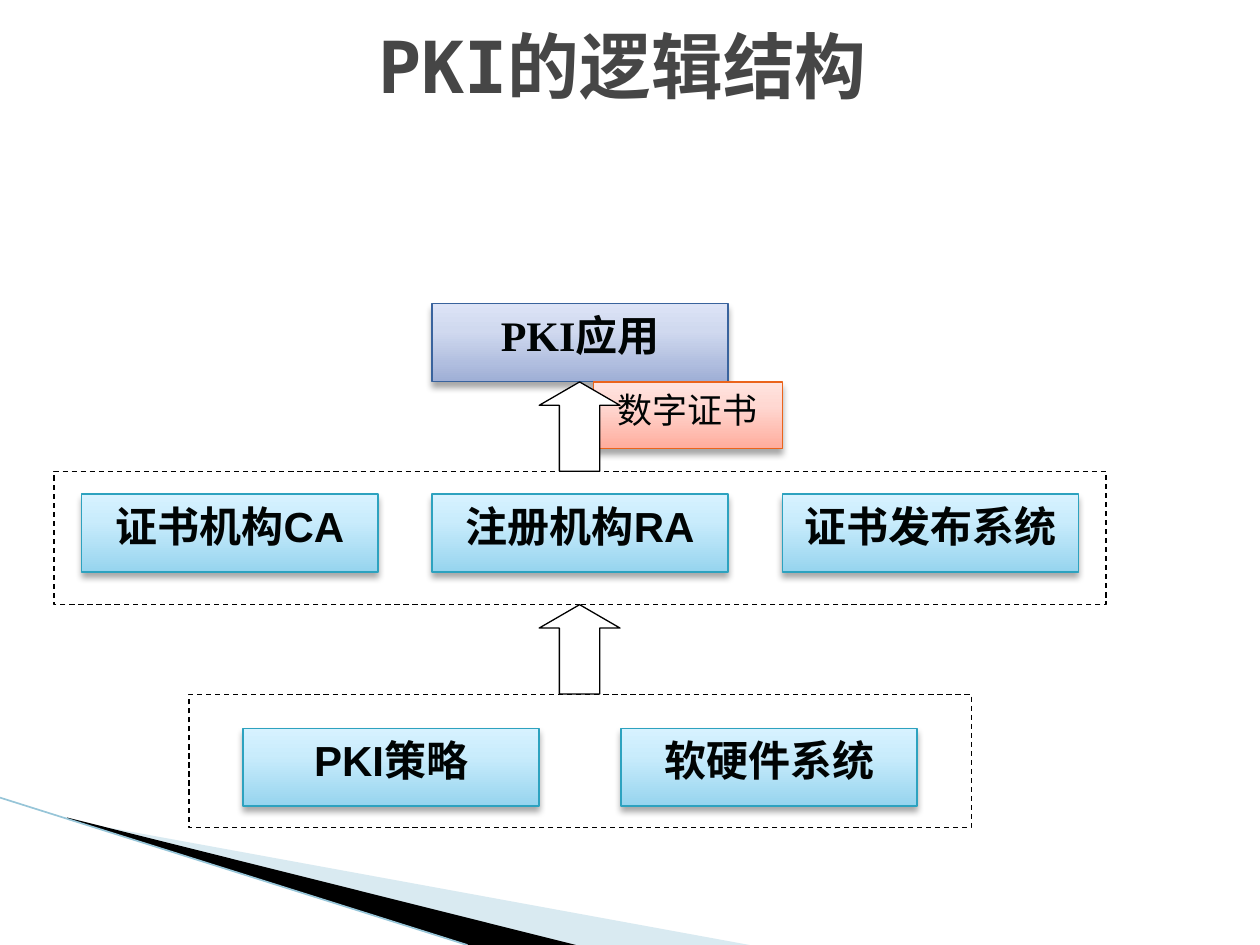
from lxml.etree import SubElement
from pptx import Presentation
from pptx.dml.color import RGBColor
from pptx.enum.dml import MSO_LINE
from pptx.enum.shapes import MSO_CONNECTOR, MSO_SHAPE
from pptx.enum.text import MSO_ANCHOR, PP_ALIGN
from pptx.oxml.ns import qn
from pptx.util import Cm, Pt

BLUE = ("9FAFD6", "D0D9EF", "DCE3F6")
CYAN = ("96D4EE", "C9ECFC", "D7F2FF")
CORAL = ("FFAC9C", "FFD8D2", "FFE4DF")
UNIT_WIDTH, UNIT_HEIGHT = 5.97, 1.57


def color(hex_code):
    return RGBColor.from_string(hex_code)


def color_xml(parent, hex_code, alpha=None):
    node = SubElement(parent, qn("a:srgbClr"), val=hex_code)
    if alpha is not None:
        SubElement(node, qn("a:alpha"), val=str(alpha * 1000))


class Diagram:
    ink = "000404"
    border = "000000"
    paper = "FFFFFF"
    line_width = Pt(0.75)

    def __init__(self, slide):
        self.slide = slide

    def label(self, frame, text, size, font, hex_code, bold):
        paragraph = frame.paragraphs[0]
        paragraph.alignment = PP_ALIGN.CENTER
        run = paragraph.add_run()
        run.text = text
        run.font.size = Pt(size)
        run.font.name = font
        run.font.bold = bold
        run.font.color.rgb = color(hex_code)

    def title(self, text, left, top, width, height):
        heading = self.slide.shapes.title
        heading.left, heading.top = Cm(left), Cm(top)
        heading.width, heading.height = Cm(width), Cm(height)
        heading.text_frame.vertical_anchor = MSO_ANCHOR.MIDDLE
        self.label(heading.text_frame, text, 41, "DejaVu Sans Mono", "464646", True)

    def wedge(self, corners, hex_code, alpha=100):
        points = [(Cm(x), Cm(y)) for x, y in corners]
        builder = self.slide.shapes.build_freeform(*points[0])
        builder.add_line_segments(points[1:])
        wedge = builder.convert_to_shape()
        wedge.shadow.inherit = False
        wedge.line.fill.background()
        wedge.fill.solid()
        wedge.fill.fore_color.rgb = color(hex_code)
        shade = wedge._element.spPr.find(qn("a:solidFill"))[0]
        SubElement(shade, qn("a:alpha"), val=str(alpha * 1000))

    def edge(self, start, end, hex_code):
        ends = [Cm(value) for value in start + end]
        edge = self.slide.shapes.add_connector(MSO_CONNECTOR.STRAIGHT, *ends)
        edge.line.color.rgb = color(hex_code)
        edge.line.width = Pt(0.95)
        SubElement(edge._element.spPr, qn("a:effectLst"))

    def preset(self, kind, left, top, width, height, border):
        shape = self.slide.shapes.add_shape(
            kind, Cm(left), Cm(top), Cm(width), Cm(height))
        shape.shadow.inherit = False
        shape.fill.solid()
        shape.fill.fore_color.rgb = color(self.paper)
        shape.line.color.rgb = color(border)
        shape.line.width = self.line_width
        return shape

    def layer(self, left, top, width, height):
        layer = self.preset(MSO_SHAPE.RECTANGLE, left, top, width, height, self.border)
        layer.line.dash_style = MSO_LINE.DASH

    def arrow(self, left, top):
        arrow = self.preset(MSO_SHAPE.UP_ARROW, left, top, 1.63, 1.8, self.border)
        arrow.adjustments[0] = 0.5
        arrow.adjustments[1] = 0.29

    def box(self, text, left, top, width=UNIT_WIDTH, height=UNIT_HEIGHT,
            shades=CYAN, border="2DA2BF", font="Arial", size=24, bold=True):
        box = self.preset(MSO_SHAPE.RECTANGLE, left, top, width, height, border)
        box.fill.gradient()
        box.fill.gradient_angle = 90
        properties = box._element.spPr
        stops = properties.find(qn("a:gradFill")).find(qn("a:gsLst"))
        for stop in list(stops):
            stops.remove(stop)
        for position, shade in zip((0, 65, 100), shades):
            color_xml(SubElement(stops, qn("a:gs"), pos=str(position * 1000)), shade)
        shadow = SubElement(
            properties.find(qn("a:effectLst")), qn("a:outerShdw"),
            blurRad=str(Pt(4)), dist=str(Pt(3)), dir="5400000", rotWithShape="0")
        color_xml(shadow, "000000", 35)
        frame = box.text_frame
        frame.word_wrap = True
        frame.vertical_anchor = MSO_ANCHOR.TOP
        self.label(frame, text, size, font, self.ink, bold)

    def row(self, names, left, top, pitch):
        for index, name in enumerate(names):
            self.box(name, left + index * pitch, top)


def main():
    deck = Presentation()
    deck.slide_width, deck.slide_height = Cm(25.4), Cm(19.05)
    diagram = Diagram(deck.slides.add_slide(deck.slide_layouts[5]))

    diagram.wedge([(1.4, 16.54), (15.11, 19.05), (11.58, 19.05), (1.4, 16.51)],
                  "A0CBDC", 40)
    diagram.wedge([(1.35, 16.48), (11.61, 19.05), (9.45, 19.05), (1.37, 16.51)],
                  "000000")
    diagram.edge((0, 16.08), (9.42, 19.05), "97C5D8")
    diagram.title("PKI的逻辑结构 ", 0.51, 0.13, 24.41, 2.36)

    diagram.layer(3.81, 14, 15.77, 2.69)
    diagram.layer(1.09, 9.5, 21.21, 2.69)
    diagram.box("PKI应用", 8.71, 6.12, shades=BLUE, border="39639D",
                font="Times New Roman")
    diagram.row(["证书机构CA", "注册机构RA", "证书发布系统"], 1.65, 9.96, 7.06)
    diagram.row(["PKI策略", "软硬件系统"], 4.9, 14.68, 7.62)
    diagram.box("数字证书", 11.96, 7.7, 3.81, 1.35, CORAL, "EB641B",
                "Times New Roman", 20, False)
    for top in (7.7, 12.19):
        diagram.arrow(10.87, top)

    deck.save("out.pptx")


if __name__ == "__main__":
    main()
